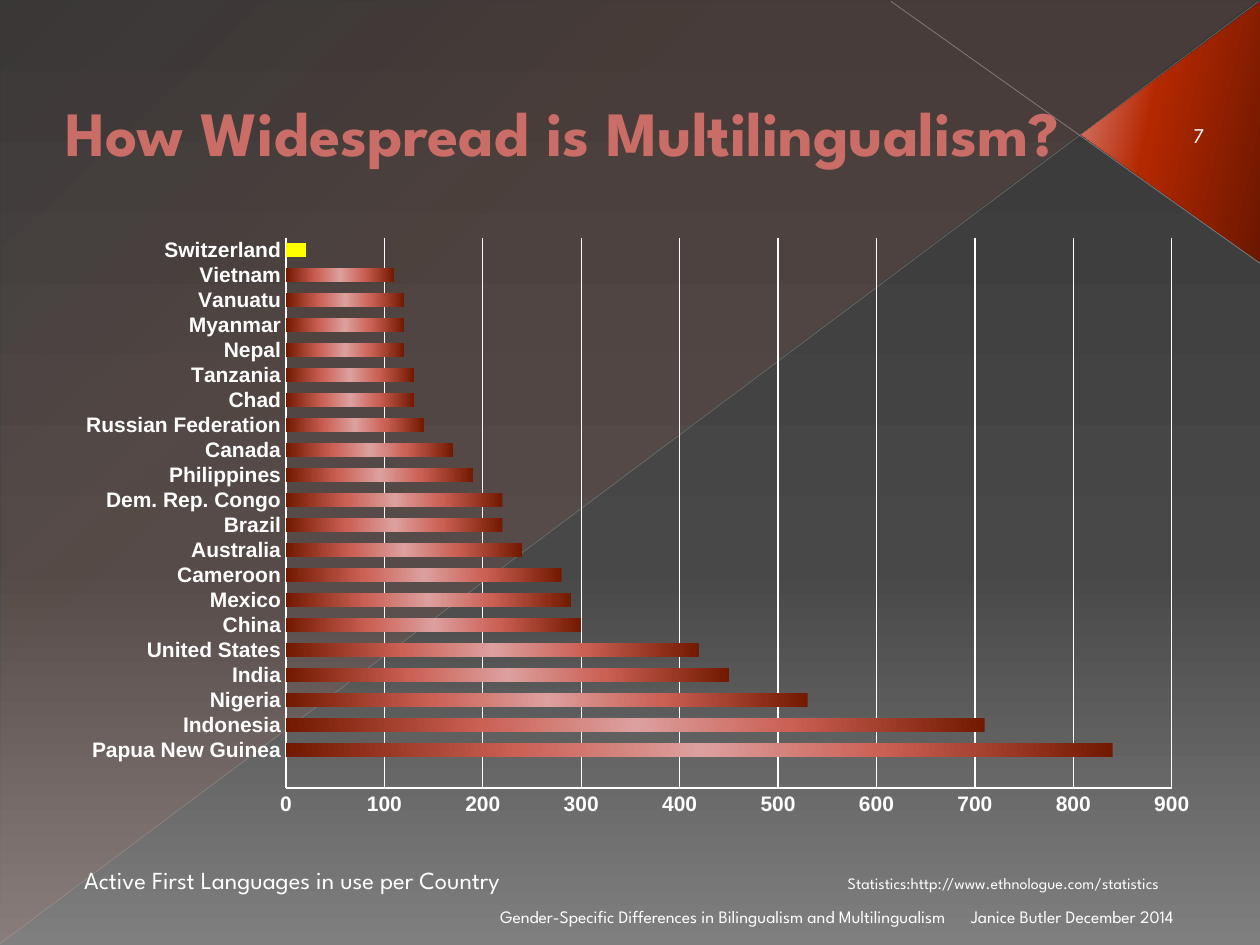
from lxml import etree
from pptx import Presentation
from pptx.chart.data import CategoryChartData
from pptx.dml.color import RGBColor
from pptx.enum.chart import XL_CHART_TYPE, XL_TICK_MARK
from pptx.enum.shapes import MSO_CONNECTOR, MSO_SHAPE
from pptx.enum.text import MSO_ANCHOR, PP_ALIGN
from pptx.oxml.ns import qn
from pptx.util import Inches, Pt

BAR = XL_CHART_TYPE.BAR_CLUSTERED
NO_TICK = XL_TICK_MARK.NONE
STRAIGHT = MSO_CONNECTOR.STRAIGHT
RIGHT_TRIANGLE, TRIANGLE = MSO_SHAPE.RIGHT_TRIANGLE, MSO_SHAPE.ISOSCELES_TRIANGLE
TOP, MIDDLE, BOTTOM = MSO_ANCHOR.TOP, MSO_ANCHOR.MIDDLE, MSO_ANCHOR.BOTTOM
LEFT, CENTER, RIGHT, JUSTIFY = PP_ALIGN.LEFT, PP_ALIGN.CENTER, PP_ALIGN.RIGHT, PP_ALIGN.JUSTIFY

FONT, WHITE = "League Spartan", "FFFFFF"
LANGUAGES = [
    ("", None), ("Papua New Guinea", 840), ("Indonesia", 710), ("Nigeria", 530),
    ("India", 450), ("United States", 420), ("China", 300), ("Mexico", 290),
    ("Cameroon", 280), ("Australia", 240), ("Brazil", 220), ("Dem. Rep. Congo", 220),
    ("Philippines", 190), ("Canada", 170), ("Russian Federation", 140), ("Chad", 130),
    ("Tanzania", 130), ("Nepal", 120), ("Myanmar", 120), ("Vanuatu", 120),
    ("Vietnam", 110), ("Switzerland", 20),
]


def rgb(color):
    return RGBColor.from_string(color)


def add(parent, tag, **attrs):
    return etree.SubElement(parent, qn(tag), {k: str(v) for k, v in attrs.items()})


def set_gradient(fill, root, stops, angle):
    """Stops are (position %, colour, opacity %); the angle runs clockwise."""
    fill.gradient()
    grad = next(root.iter(qn("a:gradFill")))
    for child in list(grad):
        grad.remove(child)
    grad.set("rotWithShape", "1")
    stop_list = add(grad, "a:gsLst")
    for position, color, opacity in stops:
        stop = add(stop_list, "a:gs", pos=position * 1000)
        clr = add(stop, "a:srgbClr", val=color)
        if opacity < 100:
            add(clr, "a:alpha", val=opacity * 1000)
    add(grad, "a:lin", ang=angle * 60000, scaled=0)


def add_flipped(s, kind, box, stops, angle):
    sp = s.shapes.add_shape(kind, *map(Inches, box))
    sp.shadow.inherit = False
    sp.line.fill.background()
    sp._element.spPr.find(qn("a:xfrm")).set("flipV", "1")
    set_gradient(sp.fill, sp._element, stops, angle)
    return sp


def add_line(s, ends, color, width, opacity):
    line = s.shapes.add_connector(STRAIGHT, *map(Inches, ends))
    line.line.color.rgb = rgb(color)
    line.line.width = Pt(width)
    clr = next(line._element.spPr.iter(qn("a:srgbClr")))
    add(clr, "a:alpha", val=opacity * 1000)
    add(line._element.spPr, "a:effectLst")


def add_run(p, text, size, color=WHITE, bold=False):
    r = p.add_run()
    r.text = text
    r.font.name, r.font.size, r.font.bold = FONT, Pt(size), bold
    r.font.color.rgb = rgb(color)
    return r


def add_text(s, box, anchor=TOP, align=LEFT):
    tf = s.shapes.add_textbox(*map(Inches, box)).text_frame
    tf.word_wrap = True
    tf.vertical_anchor = anchor
    p = tf.paragraphs[0]
    p.alignment = align
    return p


def add_backdrop(s, width, height):
    set_gradient(s.background.fill, s._element,
                 [(0, "373737", 100), (60, "484848", 100), (100, "7F7F7F", 100)], 90)
    # Tinted half of the slide
    add_flipped(s, RIGHT_TRIANGLE, (0.01, 0.01, width - 0.02, height - 0.02),
                [(0, "EE6D49", 10), (70, "EE6D49", 8), (100, "EE6D49", 1)], 133)
    # Red wedge behind the page number
    wedge = add_flipped(s, TRIANGLE, (8.26, 0.34, 2.07, 1.42),
                        [(0, "6B1700", 100), (60, "B42800", 100), (100, "DD8680", 100)], 258)
    wedge.rotation = 90
    wedge.adjustments[0] = 0.51
    # Crossing hairlines
    add_line(s, (width, 2.09, 7.07, 0.01), "BEBEBE", 0.47, 45)
    add_line(s, (0, height - 0.01, width - 0.01, 0.01), "B5B5B5", 0.39, 35)


def add_title(s, box):
    p = add_text(s, box, MIDDLE)
    r = add_run(p, "How Widespread is Multilingualism?", 36, "C96D66", True)
    outline = etree.Element(qn("a:ln"), w=str(Pt(0.5)))
    add(add(outline, "a:solidFill"), "a:srgbClr", val="72210A")
    r._r.get_or_add_rPr().insert(0, outline)


def style_axis(axis):
    axis.major_tick_mark = axis.minor_tick_mark = NO_TICK
    axis.tick_labels.font.size = Pt(12)
    axis.tick_labels.font.bold = True
    axis.tick_labels.font.color.rgb = rgb(WHITE)
    axis.format.line.color.rgb = rgb(WHITE)
    axis.format.line.width = Pt(0.75)


def add_language_chart(s, box):
    data = CategoryChartData()
    data.categories = [country for country, _ in LANGUAGES]
    data.add_series("Series 1", [count for _, count in LANGUAGES])
    chart = s.shapes.add_chart(BAR, *map(Inches, box), data).chart
    chart.has_legend = chart.has_title = False
    chart.font.name, chart.font.size = "Arial", Pt(10)
    chart.font.color.rgb = rgb(WHITE)

    # Axes
    style_axis(chart.category_axis)
    chart.category_axis.has_major_gridlines = False
    values = chart.value_axis
    style_axis(values)
    values.minimum_scale, values.maximum_scale, values.major_unit = 0, 900, 100
    values.has_major_gridlines = True
    values.major_gridlines.format.line.color.rgb = rgb(WHITE)
    values.major_gridlines.format.line.width = Pt(0.75)

    # Bars, with the last country picked out
    plot = chart.plots[0]
    plot.gap_width, plot.vary_by_categories = 75, False
    bars = plot.series[0]
    bars.invert_if_negative = False
    set_gradient(bars.format.fill, bars._element,
                 [(0, "731900", 100), (28, "CB6055", 100), (50, "DCA09E", 100),
                  (72, "CB6055", 100), (100, "731900", 100)], 0)
    highlight = bars.points[len(LANGUAGES) - 1].format.fill
    highlight.solid()
    highlight.fore_color.rgb = rgb("FFFF00")

    # Fixed inner plot area
    area = chart._chartSpace.chart.plotArea
    for old in area.findall(qn("c:layout")):
        area.remove(old)
    layout = etree.Element(qn("c:layout"))
    area.insert(0, layout)
    manual = add(layout, "c:manualLayout")
    for tag, val in [("layoutTarget", "inner"), ("xMode", "edge"), ("yMode", "edge"),
                     ("x", 0.2), ("y", 0.02), ("w", 0.76), ("h", 0.91)]:
        add(manual, "c:" + tag, val=val)


def add_caption(s, box):
    p = add_text(s, box, align=JUSTIFY)
    pPr = p._p.get_or_add_pPr()
    pPr.set("marL", str(Inches(0.06)))
    add(add(pPr, "a:tabLst"), "a:tab", pos=Inches(6.06), algn="l")
    add_run(p, "Active First Languages in use per Country\t", 14)
    add_run(p, "Statistics:http://www.ethnologue.com/statistics", 9.1)


def add_footer(s):
    for box, align, text, size in [
        ((7.61, 7.08, 2.33, 0.33), LEFT, "Janice Butler December 2014", 10),
        ((2.94, 7.08, 4.66, 0.33), RIGHT,
         "Gender-Specific Differences in Bilingualism and Multilingualism", 10),
        ((9.24, 0.89, 0.55, 0.33), CENTER, "7", 12),
    ]:
        add_run(add_text(s, box, BOTTOM, align), text, size)


def main():
    prs = Presentation()
    prs.slide_width, prs.slide_height = Inches(10), Inches(7.5)
    s = prs.slides.add_slide(prs.slide_layouts[6])
    add_backdrop(s, 10, 7.5)
    add_title(s, (0.42, 0.3, 8.6, 1.49))
    add_caption(s, (0.51, 6.82, 9.15, 0.34))
    add_language_chart(s, (0.42, 1.79, 9.25, 4.8))
    add_footer(s)
    prs.save("out.pptx")


if __name__ == "__main__":
    main()
